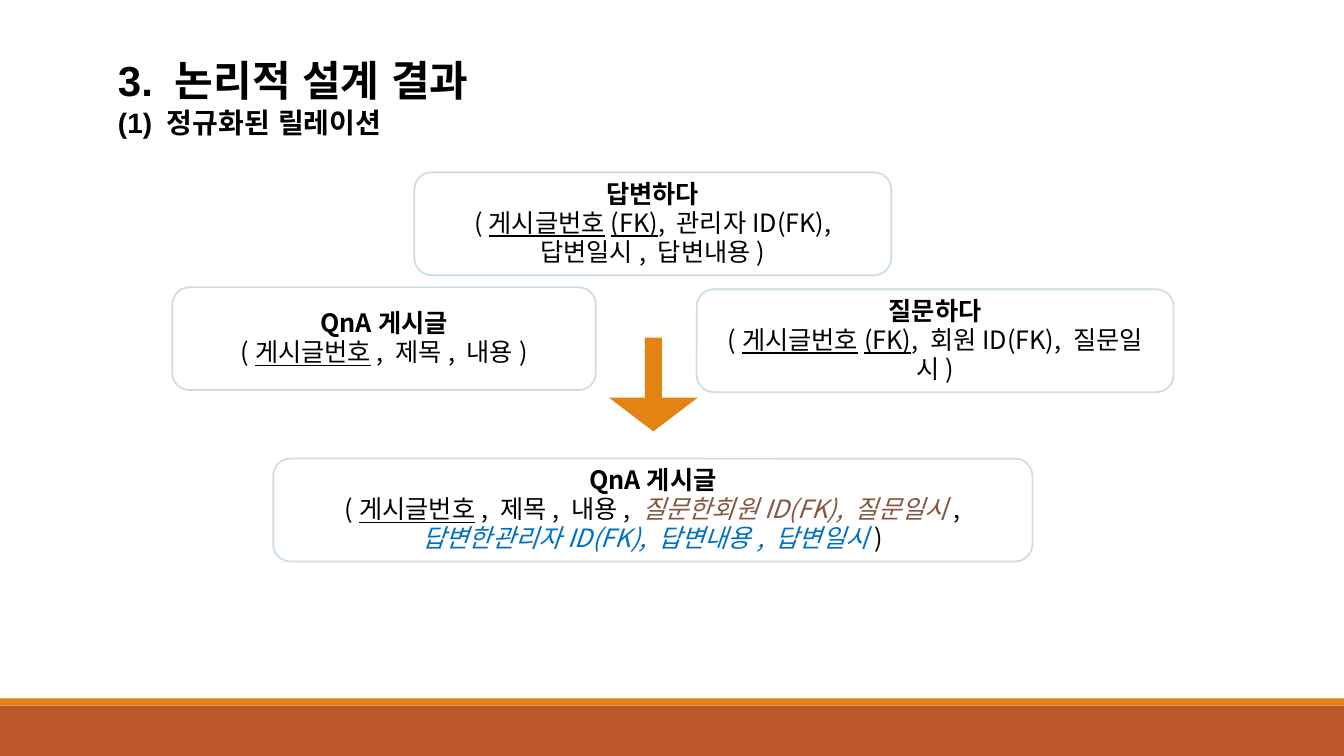
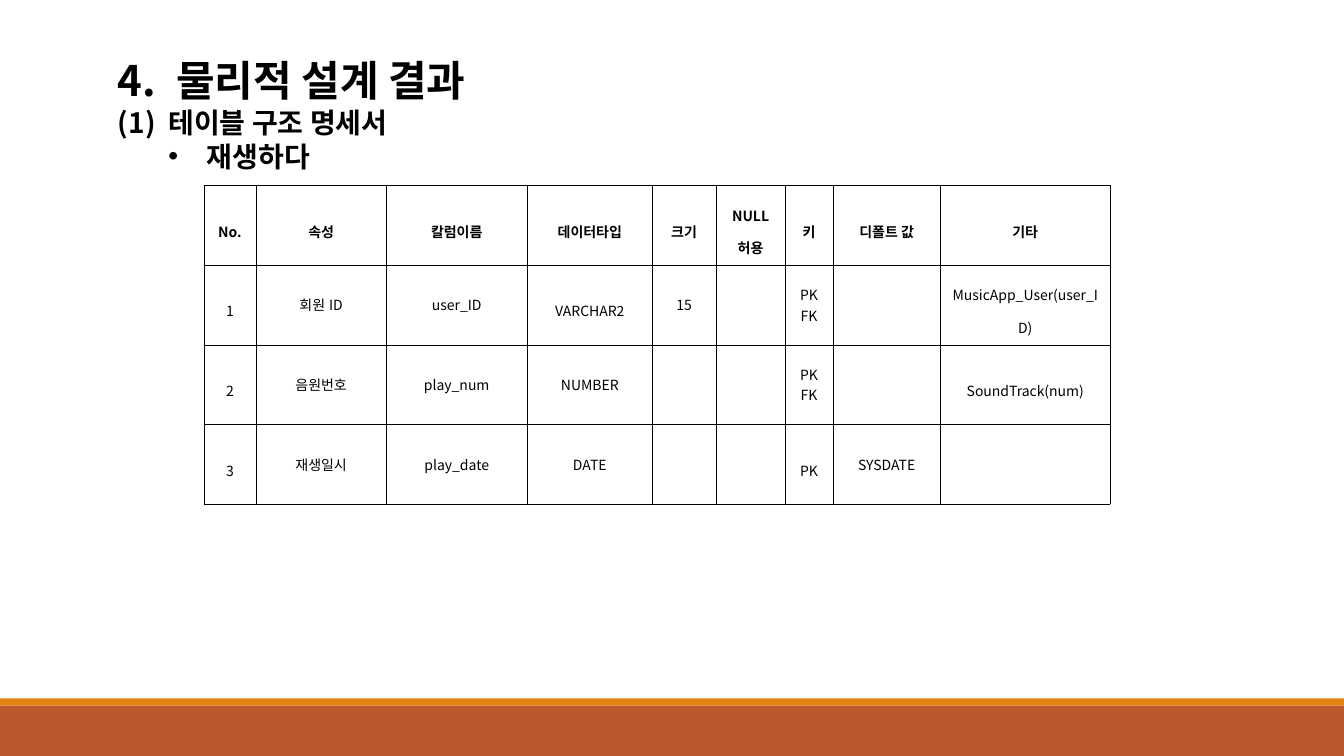
from dataclasses import dataclass

from lxml import etree
from pptx import Presentation
from pptx.dml.color import RGBColor
from pptx.enum.shapes import MSO_SHAPE
from pptx.enum.text import MSO_ANCHOR, MSO_AUTO_SIZE, PP_ALIGN
from pptx.oxml.ns import qn
from pptx.util import Inches, Pt

RECT = MSO_SHAPE.RECTANGLE
ROUNDED = MSO_SHAPE.ROUNDED_RECTANGLE
DOWN_ARROW = MSO_SHAPE.DOWN_ARROW
LEFT, CENTER = PP_ALIGN.LEFT, PP_ALIGN.CENTER
TOP, MIDDLE = MSO_ANCHOR.TOP, MSO_ANCHOR.MIDDLE
NO_AUTOFIT = MSO_AUTO_SIZE.NONE


@dataclass(frozen=True)
class Theme:
    ink: str = "000000"
    paper: str = "FFFFFF"
    rust: str = "BD582C"
    orange: str = "E48312"
    outline: str = "CCDDEA"
    asker: str = "865640"
    answerer: str = "0070C0"
    latin: str = "Arial"
    korean: str = "Noto Sans CJK KR"
    title_size: int = 30
    section_size: int = 20
    relation_size: int = 18
    table_size: int = 10


THEME = Theme()
STYLES = {
    "plain": {},
    "name": {"bold": True},
    "key": {"underline": True},
    "asker": {"italic": True, "color": THEME.asker},
    "answerer": {"italic": True, "color": THEME.answerer},
}

BANDS = [(7, 0.5, THEME.rust), (6.93, 0.07, THEME.orange)]
TITLE_BOX = (1.07, 0.48, 4.84, 0.55)
SECTION_BOX = (1.07, 0.99, 4.84, 0.8)

LOGICAL_TITLE = "3. 논리적 설계 결과"
LOGICAL_SECTION = ["(1) 정규화된 릴레이션"]
PHYSICAL_TITLE = "4. 물리적 설계 결과"
PHYSICAL_SECTION = ["테이블 구조 명세서", "재생하다"]
OUTLINE_BULLETS = [
    (0, 0.5, -0.5, "buAutoNum", {"type": "arabicParenBoth"}, THEME.korean),
    (1, 0.88, -0.38, "buChar", {"char": "•"}, THEME.latin),
]

RELATION_HEIGHT = 1.02
RELATIONS = [
    ((1.71, 2.85, 4.2), "QnA게시글",
     [("(", "plain"), ("게시글번호", "key"), (", 제목, 내용)", "plain")]),
    ((6.91, 2.87, 4.73), "질문하다",
     [("(", "plain"), ("게시글번호(FK)", "key"),
      (", 회원ID(FK), 질문일시)", "plain")]),
    ((2.71, 4.55, 7.53), "QnA게시글",
     [("(", "plain"), ("게시글번호", "key"), (", 제목, 내용, ", "plain"),
      ("질문한회원ID(FK), 질문일시", "asker"), (", ", "plain"),
      ("답변한관리자ID(FK), 답변내용, 답변일시", "answerer"), (")", "plain")]),
    ((4.11, 1.71, 4.73), "답변하다",
     [("(", "plain"), ("게시글번호(FK)", "key"),
      (", 관리자ID(FK), 답변일시, 답변내용)", "plain")]),
]
MERGE_ARROW = (6.04, 3.35, 0.88, 0.93)

COLUMN_WIDTHS = [0.52, 1.29, 1.4, 1.24, 0.63, 0.69, 0.47, 1.07, 1.68]
ROW_HEIGHT = 0.79
TABLE_ORIGIN = (2.02, 1.84)
PLAY_TABLE = [
    ["No.", "속성", "칼럼이름", "데이터타입", "크기", "NULL 허용", "키",
     "디폴트 값", "기타"],
    ["1", "회원ID", "user_ID", "VARCHAR2", "15", "", "PK\nFK", "",
     "MusicApp_User(user_ID)"],
    ["2", "음원번호", "play_num", "NUMBER", "", "", "PK\nFK", "",
     "SoundTrack(num)"],
    ["3", "재생일시", "play_date", "DATE", "", "", "PK", "SYSDATE", ""],
]
LOOSE_CELLS = {(1, 3), (1, 8), (2, 8), (3, 6)}


def inches(values):
    return [Inches(value) for value in values]


def write(frame, paragraphs, size, face=THEME.korean, bold=False,
          align=LEFT, spacing=1.0):
    for index, runs in enumerate(paragraphs):
        paragraph = frame.paragraphs[0] if index == 0 else frame.add_paragraph()
        paragraph.alignment = align
        paragraph.line_spacing = spacing
        paragraph.space_before = paragraph.space_after = Pt(0)
        for text, style in [(runs, "plain")] if isinstance(runs, str) else runs:
            look = {"bold": bold, "color": THEME.ink, **STYLES[style]}
            run = paragraph.add_run()
            run.text = text
            font = run.font
            font.name, font.size = face, Pt(size)
            font.bold = look["bold"]
            font.italic = look.get("italic", False)
            font.underline = look.get("underline", False)
            font.color.rgb = RGBColor.from_string(look["color"])
            east_asian = etree.SubElement(run._r.get_or_add_rPr(), qn("a:ea"))
            east_asian.set("typeface", face)


def add_block(slide, kind, box, fill, line=None):
    block = slide.shapes.add_shape(kind, *inches(box))
    block.shadow.inherit = False
    block.fill.solid()
    block.fill.fore_color.rgb = RGBColor.from_string(fill)
    if line:
        block.line.color.rgb = RGBColor.from_string(line)
        block.line.width = Pt(1.25)
    else:
        block.line.fill.background()
    return block


def place(placeholder, box):
    (placeholder.left, placeholder.top,
     placeholder.width, placeholder.height) = inches(box)


def set_bullet(paragraph, level=0, margin=0, indent=0, tag="buNone",
               attributes=None, face=None):
    paragraph.level = level
    properties = paragraph._p.get_or_add_pPr()
    properties.set("marL", str(Inches(margin)))
    properties.set("indent", str(Inches(indent)))
    if face:
        etree.SubElement(properties, qn("a:buFont")).set("typeface", face)
    etree.SubElement(properties, qn(f"a:{tag}"), attributes or {})


def add_headed_slide(prs, title, section, face, bullets=((),)):
    slide = prs.slides.add_slide(prs.slide_layouts[1])
    heading, outline = slide.placeholders
    for holder, lines, size, leading in (
            (heading, [title], THEME.title_size, 36.5),
            (outline, section, THEME.section_size, 24.3)):
        frame = holder.text_frame
        frame.word_wrap = True
        frame.auto_size = NO_AUTOFIT
        frame.vertical_anchor = TOP
        frame.margin_left = frame.margin_right = Inches(0.1)
        frame.margin_top, frame.margin_bottom = Inches(0.05), Inches(0)
        write(frame, lines, size, face=face, bold=True, spacing=Pt(leading))
    for paragraph, bullet in zip(outline.text_frame.paragraphs, bullets):
        set_bullet(paragraph, *bullet)
    return slide


def move_bands_to_master(prs, slide):
    for number, (top, height, color) in enumerate(BANDS, 100):
        band = add_block(slide, RECT, (0, top, 13.33, height), color)
        band.width = prs.slide_width
        band.element.xpath("./p:nvSpPr/p:cNvPr")[0].set("id", str(number))
        prs.slide_master.shapes.element.append(band.element)


def add_relations(slide):
    arrow = add_block(slide, DOWN_ARROW, MERGE_ARROW, THEME.orange)
    arrow.adjustments[0], arrow.adjustments[1] = 0.19, 0.38
    for box, name, attributes in RELATIONS:
        relation = add_block(slide, ROUNDED, (*box, RELATION_HEIGHT),
                             THEME.paper, THEME.outline)
        relation.text_frame.vertical_anchor = MIDDLE
        write(relation.text_frame, [[(name, "name")], attributes],
              THEME.relation_size, align=CENTER, spacing=0.95)


def outline_cell(cell):
    properties = cell._tc.get_or_add_tcPr()
    for index, side in enumerate(("lnL", "lnR", "lnT", "lnB")):
        border = etree.Element(qn(f"a:{side}"), w=str(Pt(0.28)))
        fill = etree.SubElement(border, qn("a:solidFill"))
        etree.SubElement(fill, qn("a:srgbClr")).set("val", THEME.ink)
        properties.insert(index, border)


def add_play_table(slide):
    size = (sum(COLUMN_WIDTHS), ROW_HEIGHT * len(PLAY_TABLE))
    table = slide.shapes.add_table(len(PLAY_TABLE), len(COLUMN_WIDTHS),
                                   *inches(TABLE_ORIGIN + size)).table
    table.first_row = table.horz_banding = False
    for column, width in zip(table.columns, COLUMN_WIDTHS):
        column.width = Inches(width)
    for row_index, values in enumerate(PLAY_TABLE):
        table.rows[row_index].height = Inches(ROW_HEIGHT)
        for column_index, value in enumerate(values):
            cell = table.cell(row_index, column_index)
            cell.fill.background()
            outline_cell(cell)
            cell.vertical_anchor = MIDDLE
            edge = row_index == 0 or column_index == 0
            if edge:
                cell.margin_left = cell.margin_right = Inches(0.07)
                cell.margin_top = cell.margin_bottom = Inches(0.02)
            if value:
                loose = edge or (row_index, column_index) in LOOSE_CELLS
                write(cell.text_frame, value.split("\n"), THEME.table_size,
                      bold=row_index == 0, align=CENTER,
                      spacing=1.6 if loose else 1.0)


def main():
    prs = Presentation()
    prs.slide_width, prs.slide_height = Inches(13.33), Inches(7.5)
    title_holder, section_holder = list(prs.slide_layouts[1].placeholders)[:2]
    place(title_holder, TITLE_BOX)
    place(section_holder, SECTION_BOX)

    logical = add_headed_slide(prs, LOGICAL_TITLE, LOGICAL_SECTION, THEME.latin)
    move_bands_to_master(prs, logical)
    add_relations(logical)

    physical = add_headed_slide(prs, PHYSICAL_TITLE, PHYSICAL_SECTION,
                                THEME.korean, OUTLINE_BULLETS)
    add_play_table(physical)
    prs.save("out.pptx")


if __name__ == "__main__":
    main()
